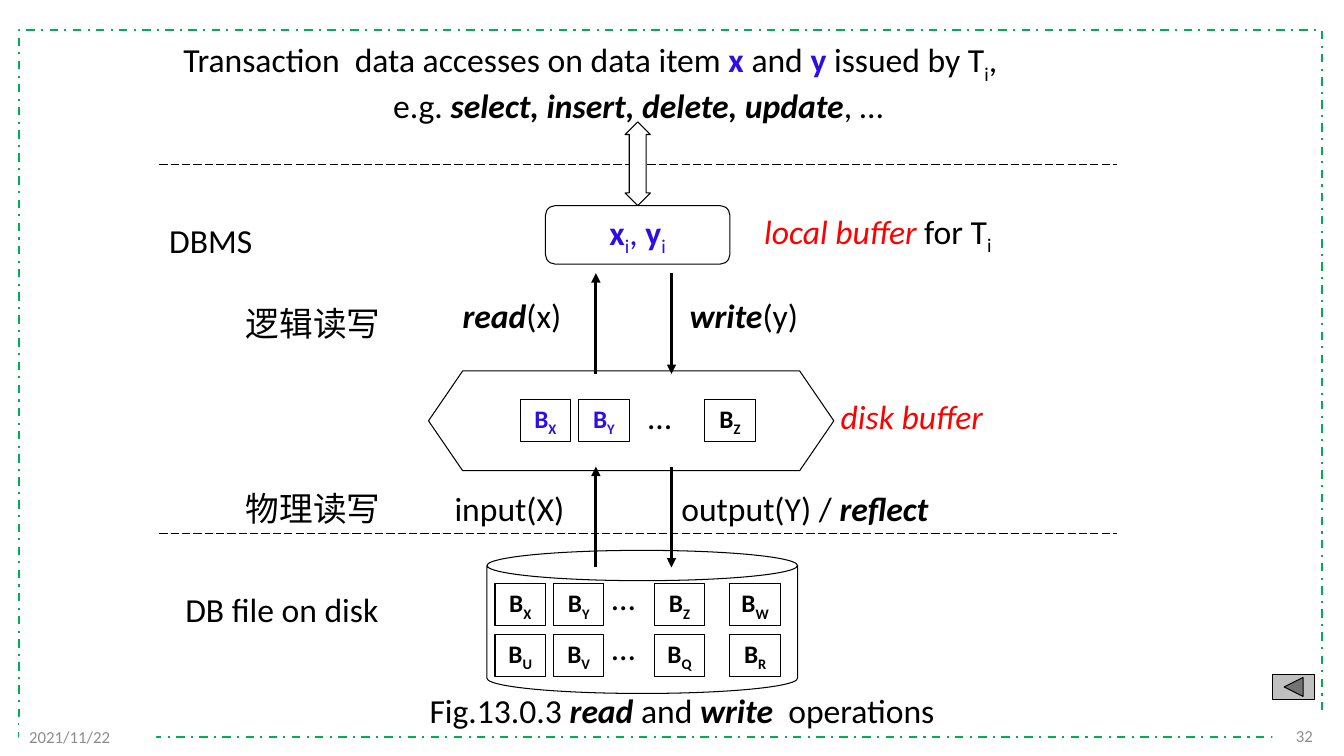
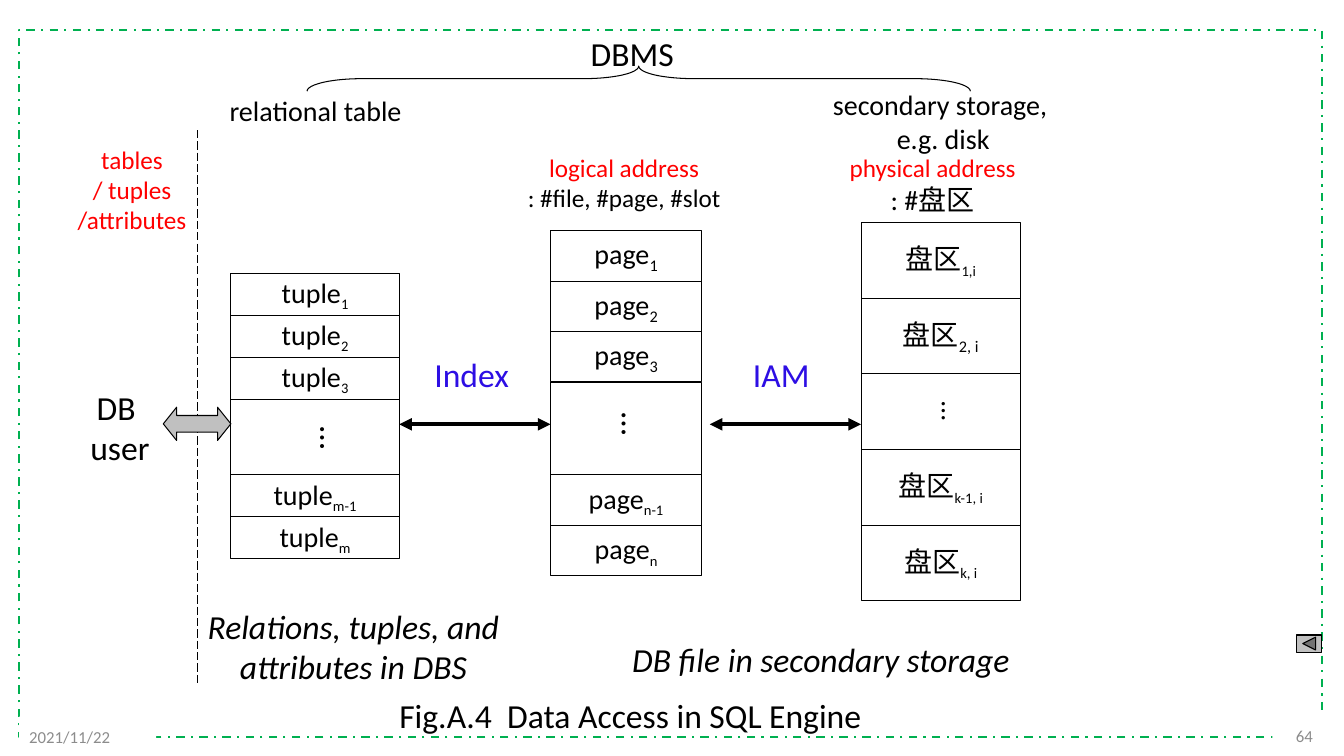
from dataclasses import dataclass
from typing import NamedTuple

from lxml.etree import SubElement
from pptx import Presentation
from pptx.dml.color import RGBColor
from pptx.enum.dml import MSO_LINE
from pptx.enum.shapes import MSO_CONNECTOR, MSO_SHAPE
from pptx.enum.text import MSO_ANCHOR, MSO_AUTO_SIZE, PP_ALIGN
from pptx.oxml.ns import qn
from pptx.util import Inches, Pt

BLACK, WHITE, BLUE, RED = "000000", "FFFFFF", "2D0EE4", "FF0000"
GREEN, GRAY, SILVER = "00B050", "8C8C8C", "C0C0C0"
LATIN, HAN = "Calibri", "Noto Sans CJK SC"
LEFT, MID, RIGHT = PP_ALIGN.LEFT, PP_ALIGN.CENTER, PP_ALIGN.RIGHT


class Part(NamedTuple):
    text: str
    color: str = BLACK
    bold: bool = False
    ital: bool = False
    sub: bool = False
    size: int = 0


@dataclass
class Note:
    left: float
    top: float
    width: float
    height: float
    lines: list
    size: int = 24
    align: PP_ALIGN = LEFT
    wrap: bool = False
    vert: bool = False


@dataclass
class Form:
    kind: MSO_SHAPE
    left: float
    top: float
    width: float
    height: float
    fill: str = ""
    line: str = BLACK
    weight: float = 0.75
    adjust: tuple = ()
    turn: int = 0


class Wire(NamedTuple):
    start: tuple
    end: tuple
    weight: float = 0.75
    dash: bool = False
    head: bool = False
    tail: bool = False


class Row(NamedTuple):
    sub: str
    size: int = 18


@dataclass
class Stack:
    word: str
    left: float
    top: float
    width: float
    step: float
    gap: float
    rows: list


def tint(target, code: str) -> None:
    """Set a colour format from a hex string."""
    target.rgb = RGBColor.from_string(code)


def style(run, part: Part, size: int) -> None:
    """Format one run."""
    font = run.font
    font.size = Pt(part.size or size)
    font.bold, font.italic = part.bold, part.ital
    tint(font.color, part.color)
    has_han = any(mark >= "一" for mark in part.text)
    font.name = HAN if has_han and size == 24 else LATIN
    props = run._r.get_or_add_rPr()
    if part.sub:
        props.set("baseline", "-25000")
    if has_han:
        SubElement(props, qn("a:ea")).set("typeface", HAN)


def write(frame, lines: list, size: int, align: PP_ALIGN) -> None:
    """Fill a text frame with lines, each a string or a list of parts."""
    for index, line in enumerate(lines):
        parts = [Part(line)] if isinstance(line, str) else line
        para = frame.add_paragraph() if index else frame.paragraphs[0]
        para.text = parts[0].text
        for part in parts[1:]:
            para.add_run().text = part.text
        para.alignment = align
        for run, part in zip(para.runs, parts):
            style(run, part, size)


def place(shape, left: float, top: float, width: float, height: float) -> None:
    """Move and size a shape."""
    shape.left, shape.top = Inches(left), Inches(top)
    shape.width, shape.height = Inches(width), Inches(height)


def note(slide, item: Note):
    """Add a text box."""
    box = slide.shapes.add_textbox(0, 0, 0, 0)
    frame = box.text_frame
    frame.word_wrap = item.wrap
    frame.auto_size = MSO_AUTO_SIZE.SHAPE_TO_FIT_TEXT
    write(frame, item.lines, item.size, item.align)
    place(box, item.left, item.top, item.width, item.height)
    if item.vert:
        frame._txBody.bodyPr.set("vert", "eaVert")
    return box


def draw(slide, item: Form):
    """Add a preset shape."""
    shape = slide.shapes.add_shape(item.kind, 0, 0, 0, 0)
    place(shape, item.left, item.top, item.width, item.height)
    shape.shadow.inherit = False
    shape.rotation = item.turn
    for index, value in enumerate(item.adjust):
        shape.adjustments[index] = value
    if item.fill:
        shape.fill.solid()
        tint(shape.fill.fore_color, item.fill)
    else:
        shape.fill.background()
    if item.line:
        tint(shape.line.color, item.line)
        shape.line.width = Pt(item.weight)
    else:
        shape.line.fill.background()
    return shape


def label(shape, parts: list, size: int, align: PP_ALIGN = MID) -> None:
    """Write one line in the middle of a shape."""
    frame = shape.text_frame
    frame.word_wrap = False
    frame.vertical_anchor = MSO_ANCHOR.MIDDLE
    write(frame, [parts], size, align)


def wire(slide, item: Wire) -> None:
    """Add a straight line or arrow."""
    ends = [Inches(value) for value in (*item.start, *item.end)]
    link = slide.shapes.add_connector(MSO_CONNECTOR.STRAIGHT, *ends)
    tint(link.line.color, BLACK)
    link.line.width = Pt(item.weight)
    if item.dash:
        link.line.dash_style = MSO_LINE.LONG_DASH
    line = link.line._get_or_add_ln()
    for tag, shown in (("a:headEnd", item.head), ("a:tailEnd", item.tail)):
        if shown:
            SubElement(line, qn(tag)).set("type", "triangle")
    SubElement(link._element.spPr, qn("a:effectLst"))


def block(slide, left: float, top: float, sub: str, color: str = BLACK) -> None:
    """Add a small disk block."""
    box = draw(slide, Form(MSO_SHAPE.RECTANGLE, left, top, 0.5, 0.42))
    parts = [Part("B", color, True), Part(sub, color, True, sub=True)]
    label(box, parts, 18)


def pile(slide, item: Stack) -> None:
    """Add a column of cells; a row without a subscript is the gap."""
    top = item.top
    for row in item.rows:
        high = item.step if row.sub else item.gap
        cell = draw(slide, Form(MSO_SHAPE.RECTANGLE, item.left, top, item.width, high))
        if row.sub:
            label(cell, [Part(item.word), Part(row.sub, sub=True, size=row.size)], 20)
        top += high


def border(slide, layout) -> None:
    """Put the dashed frame on the layout."""
    form = Form(MSO_SHAPE.RECTANGLE, 0.19, 0.3, 12.92, 7.01, line=GREEN, weight=1.5)
    frame = draw(slide, form)
    frame.line.dash_style = MSO_LINE.DASH_DOT
    layout.shapes.element.append(frame._element)


def base(slide, number: str, title: list, spot: tuple, back: tuple) -> None:
    """Add the caption, footers and back button."""
    head = slide.shapes.title
    place(head, *spot)
    frame = head.text_frame
    frame.word_wrap = True
    frame.auto_size = MSO_AUTO_SIZE.NONE
    frame.vertical_anchor = MSO_ANCHOR.TOP
    write(frame, [title], 24, LEFT)
    feet = ((12.62, 7.1, 0.5, number, RIGHT), (0.19, 7.11, 1.36, "2021/11/22", LEFT))
    for left, top, width, text, align in feet:
        form = Form(MSO_SHAPE.RECTANGLE, left, top, width, 0.4, WHITE, "")
        label(draw(slide, form), [Part(text, GRAY)], 12, align)
    draw(slide, Form(MSO_SHAPE.ACTION_BUTTON_BACK_OR_PREVIOUS, *back, SILVER))


def access(slide) -> None:
    """Draw the read and write operations."""
    strong = {"bold": True, "ital": True}
    title = [Part("Fig.13.0.3 "), Part("read", **strong), Part(" and "),
             Part("write", **strong), Part("  operations")]
    base(slide, "32", title, (4.16, 6.79, 5.6, 0.5), (12.62, 6.69, 0.42, 0.25))
    draw(slide, Form(MSO_SHAPE.HEXAGON, 4.25, 3.68, 4.02, 0.99, WHITE, adjust=(0.342,)))
    for top in (1.63, 5.29):
        wire(slide, Wire((1.58, top), (11.08, top), dash=True))
    draw(slide, Form(MSO_SHAPE.CAN, 4.83, 5.46, 3.08, 1.42, WHITE, adjust=(0.212,)))
    for top in (2.71, 4.63):
        wire(slide, Wire((5.91, top + 1), (5.91, top), 2.25, tail=True))
        wire(slide, Wire((6.66, top), (6.66, top + 1), 2.25, tail=True))
    for top, subs in ((5.79, "XYZW"), (6.29, "UVQR")):
        for left, sub in zip((4.91, 5.49, 6.49, 7.24), subs):
            block(slide, left, top, sub)
    for left, sub, color in ((5.16, "X", BLUE), (5.74, "Y", BLUE), (6.99, "Z", BLACK)):
        block(slide, left, 3.96, sub, color)
    local = draw(slide, Form(MSO_SHAPE.ROUNDED_RECTANGLE, 5.41, 2.04, 1.83, 0.58, WHITE))
    sub = Part("i", BLUE, sub=True)
    label(local, [Part("x", BLUE, True), sub, Part(", ", BLUE), Part("y", BLUE, True), sub], 24)
    draw(slide, Form(MSO_SHAPE.UP_DOWN_ARROW, 6.2, 1.21, 0.25, 0.83, WHITE, adjust=(0.5, 0.67)))
    issue = [Part("data accesses on data item "), Part("x", BLUE, True), Part(" and "),
             Part("y", BLUE, True), Part(" issued by T"), Part("i", sub=True), Part(",")]
    verbs = [Part("e.g. "), Part("select, insert, delete, update", **strong), Part(", …")]
    query = note(slide, Note(3.42, 0.34, 6.72, 0.91, [issue, verbs]))
    query.text_frame.paragraphs[1]._p.get_or_add_pPr().set("marL", str(Inches(0.38)))
    buffer = [Part("local buffer ", RED, ital=True), Part("for T"), Part("i", sub=True)]
    for item in (
        Note(1.72, 0.34, 1.77, 0.5, ["Transaction"]),
        Note(1.58, 2.13, 1.03, 0.5, ["DBMS"]),
        Note(7.48, 2.04, 2.6, 0.5, [buffer], wrap=True),
        Note(2.34, 2.96, 1.55, 0.5, ["逻辑读写"]),
        Note(4.49, 2.88, 1.2, 0.5, [[Part("read", **strong), Part("(x)")]]),
        Note(6.74, 2.88, 1.42, 0.5, [[Part("write", **strong), Part("(y)")]], wrap=True),
        Note(8.24, 3.88, 1.64, 0.5, [[Part("disk buffer", RED, ital=True)]]),
        Note(2.34, 4.79, 1.55, 0.51, ["物理读写"]),
        Note(4.41, 4.79, 1.35, 0.5, ["input(X)"], wrap=True),
        Note(6.66, 4.79, 2.83, 0.5, [[Part("output(Y) / "), Part("reflect", **strong)]], wrap=True),
        Note(1.74, 5.79, 2.14, 0.5, ["DB file on disk"]),
        *(Note(left, top, 0.44, 0.5, ["…"])
          for left, top in ((6.33, 3.88), (5.97, 5.67), (5.97, 6.17))),
    ):
        note(slide, item)


def storage(slide) -> None:
    """Draw the path from tables to disk."""
    base(slide, "64", [Part("Fig.A.4  Data Access in SQL Engine")],
         (3.86, 6.84, 5.6, 0.5), (12.86, 6.3, 0.25, 0.17))
    gap = Row("")
    for item in (
        Stack("tuple", 2.29, 2.71, 1.67, 0.417, 0.75,
              [Row("1"), Row("2"), Row("3"), gap, Row("m-1"), Row("m")]),
        Stack("page", 5.46, 2.29, 1.5, 0.5, 0.92,
              [Row("1", 20), Row("2", 20), Row("3", 20), gap, Row("n-1"), Row("n")]),
        Stack("盘区", 8.54, 2.21, 1.58, 0.75, 0.75,
              [Row("1,i"), Row("2, i", 20), gap, Row("k-1, i"), Row("k, i")]),
    ):
        pile(slide, item)
    for left in (3.96, 7.04):
        wire(slide, Wire((left, 4.21), (left + 1.5, 4.21), 3, head=True, tail=True))
    wire(slide, Wire((1.96, 1.29), (1.96, 6.79), dash=True))
    draw(slide, Form(MSO_SHAPE.RIGHT_BRACE, 6.21, -2.51, 0.25, 6.58, adjust=(2.194, 0.5), turn=270))
    draw(slide, Form(MSO_SHAPE.LEFT_RIGHT_ARROW, 1.62, 4.04, 0.67, 0.33, SILVER, adjust=(0.5, 0.4)))
    units = [[Part(text, RED)] for text in ("tables", "/ tuples", "/attributes")]
    works = [[Part(text, ital=True)] for text in ("Relations, tuples, and", "attributes in DBS")]
    disk = [[Part("physical address", RED)], [Part(": #盘区", size=20)]]
    for item in (
        Note(5.76, 0.28, 1.15, 0.5, ["DBMS"], wrap=True),
        Note(0.54, 3.79, 1.3, 0.91, ["DB ", "user"], align=MID, wrap=True),
        Note(2.13, 0.88, 2, 0.44, ["relational table"], 20, MID),
        Note(8.15, 0.82, 2.41, 0.77, ["secondary storage, ", "e.g. disk"], 20, MID),
        Note(0.66, 1.38, 1.3, 1.01, units, 18, MID),
        Note(5.12, 1.46, 2.14, 0.71,
             [[Part("logical address", RED)], ": #file, #page, #slot"], 18, MID),
        Note(8.21, 1.46, 2.08, 0.73, disk, 18, MID, True),
        Note(4.21, 3.46, 0.97, 0.5, [[Part("Index", BLUE)]]),
        Note(7.37, 3.46, 0.77, 0.5, [[Part("IAM", BLUE)]]),
        Note(2.95, 4.13, 0.61, 0.33, ["…"], vert=True),
        Note(5.94, 3.99, 0.61, 0.33, ["…"], vert=True),
        Note(9.13, 3.88, 0.54, 0.29, ["…"], 20, vert=True),
        Note(1.94, 5.96, 3.13, 0.91, works, align=MID),
        Note(6.15, 6.29, 4.06, 0.5, [[Part("DB file in secondary storage ", ital=True)]], align=MID),
    ):
        note(slide, item)


def main() -> None:
    """Build and save the deck."""
    deck = Presentation()
    deck.slide_width, deck.slide_height = Inches(13.33), Inches(7.5)
    layout = deck.slide_layouts[5]
    for index, build in enumerate((access, storage)):
        slide = deck.slides.add_slide(layout)
        if not index:
            border(slide, layout)
        build(slide)
    deck.save("out.pptx")


if __name__ == "__main__":
    main()
